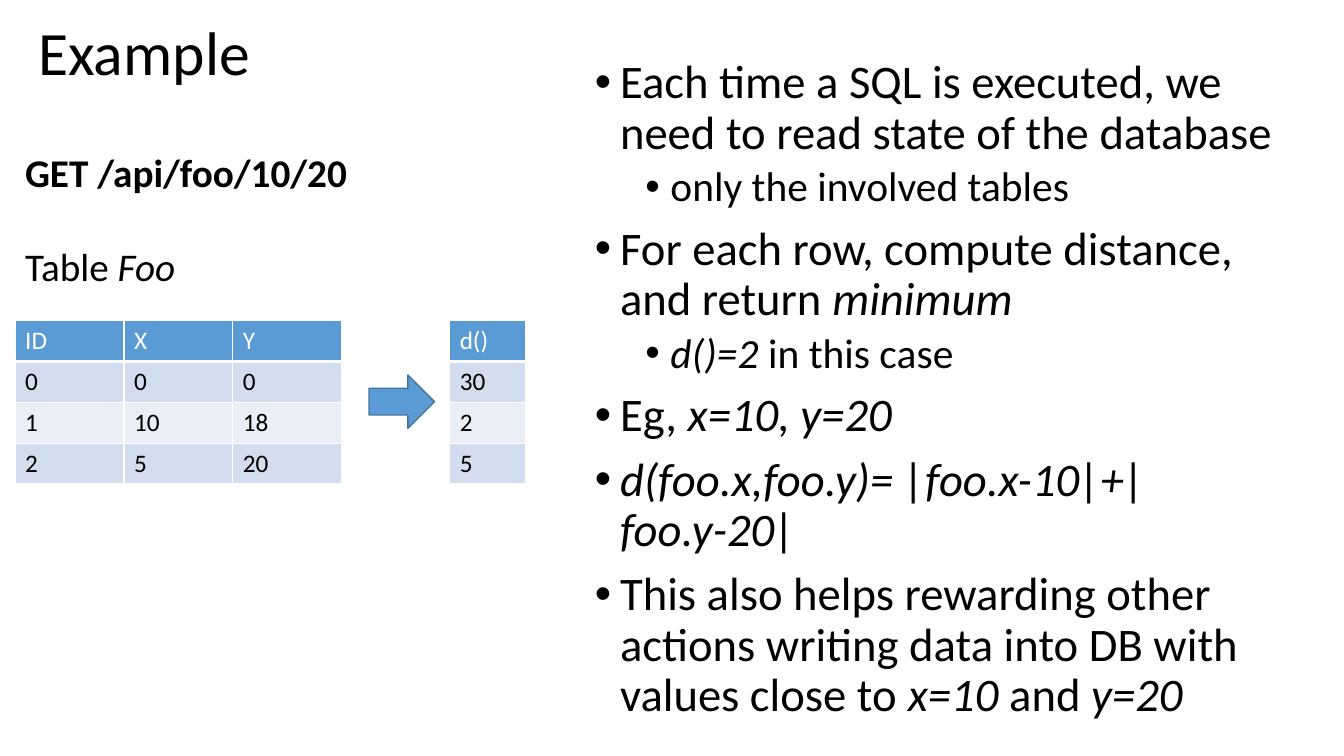
from lxml import etree
from pptx import Presentation
from pptx.dml.color import RGBColor
from pptx.enum.shapes import MSO_SHAPE
from pptx.enum.text import MSO_ANCHOR, MSO_AUTO_SIZE, PP_ALIGN
from pptx.oxml.ns import qn
from pptx.util import Inches, Pt

LEFT = PP_ALIGN.LEFT
TOP, MIDDLE = MSO_ANCHOR.TOP, MSO_ANCHOR.MIDDLE
NO_AUTOFIT, GROW = MSO_AUTO_SIZE.NONE, MSO_AUTO_SIZE.SHAPE_TO_FIT_TEXT
RIGHT_ARROW = MSO_SHAPE.RIGHT_ARROW

FONT = "Calibri"
BLACK, WHITE = "000000", "FFFFFF"
BLUE, DARK_BLUE = "5B9BD5", "43739E"
BANDS = ("D2DEEF", "EAEFF7")

# Per outline level: text size, space before, left indent
LEVELS = ((33.3, 10, 0.25), (29.6, 5, 0.75))

# Each point: level, then runs of (text, italic)
POINTS = [
    (0, [("Each time a SQL is executed, we need to read state of the database", False)]),
    (1, [("only the involved tables", False)]),
    (0, [("For each row, compute distance, and return ", False), ("minimum", True)]),
    (1, [("d()=2 ", True), ("in this case", False)]),
    (0, [("Eg, ", False), ("x=10, y=20", True)]),
    (0, [("d(foo.x,foo.y)= |foo.x-10|+|foo.y-20|", True)]),
    (0, [("This also helps rewarding other actions writing data into DB with "
          "values close to ", False), ("x=10 ", True), ("and ", False), ("y=20", True)]),
]
FOO_ROWS = [("ID", "X", "Y"), (0, 0, 0), (1, 10, 18), (2, 5, 20)]
DISTANCE_ROWS = [("d()",), (30,), (2,), (5,)]


def color(hex_code):
    return RGBColor.from_string(hex_code)


def apply(target, formats):
    for attribute, value in formats.items():
        setattr(target, attribute, value)


def place(part, box):
    names = ("left", "top", "width", "height")
    apply(part, dict(zip(names, map(Inches, box))))


def add_run(paragraph, text, size, hex_code=BLACK, bold=False, italic=False):
    run = paragraph.add_run()
    run.text = text
    apply(run.font, {"name": FONT, "size": Pt(size), "bold": bold, "italic": italic})
    run.font.color.rgb = color(hex_code)


def add_bullet(paragraph, indent):
    properties = paragraph._p.get_or_add_pPr()
    properties.set("marL", str(Inches(indent)))
    properties.set("indent", str(Inches(-0.25)))
    etree.SubElement(properties, qn("a:buFont")).set("typeface", "Arial")
    etree.SubElement(properties, qn("a:buChar")).set("char", "•")


def add_border(cell, side, width):
    line = etree.SubElement(cell._tc.get_or_add_tcPr(), qn(f"a:ln{side}"), w=str(Pt(width)))
    fill = etree.SubElement(line, qn("a:solidFill"))
    etree.SubElement(fill, qn("a:srgbClr"), val=WHITE)


def fill_title(title, box):
    place(title, box)
    apply(title.text_frame, {"vertical_anchor": MIDDLE, "auto_size": NO_AUTOFIT,
                             "word_wrap": True})
    heading = title.text_frame.paragraphs[0]
    apply(heading, {"alignment": LEFT, "line_spacing": 0.9})
    add_run(heading, "Example", 44)


def fill_points(body, box):
    place(body, box)
    frame = body.text_frame
    apply(frame, {"vertical_anchor": TOP, "auto_size": NO_AUTOFIT, "word_wrap": True})
    for index, (level, runs) in enumerate(POINTS):
        point = frame.add_paragraph() if index else frame.paragraphs[0]
        size, before, indent = LEVELS[level]
        apply(point, {"level": level, "alignment": LEFT, "line_spacing": 0.9,
                      "space_before": Pt(before if index else 0)})
        add_bullet(point, indent)
        for text, italic in runs:
            add_run(point, text, size, italic=italic)


def add_request(slide, box):
    frame = slide.shapes.add_textbox(*map(Inches, box)).text_frame
    apply(frame, {"word_wrap": False, "auto_size": GROW})
    add_run(frame.paragraphs[0], "GET /api/foo/10/20", 28, bold=True)
    caption = frame.add_paragraph()
    caption.space_before = Pt(34)
    add_run(caption, "Table ", 28)
    add_run(caption, "Foo", 28, italic=True)


def add_data_table(slide, box, rows):
    table = slide.shapes.add_table(len(rows), len(rows[0]), *map(Inches, box)).table
    for row_index, row in enumerate(rows):
        header = row_index == 0
        background = BLUE if header else BANDS[(row_index - 1) % 2]
        for column_index, value in enumerate(row):
            cell = table.cell(row_index, column_index)
            for side in "LRTB":
                add_border(cell, side, 3 if header and side == "B" else 1)
            cell.fill.solid()
            cell.fill.fore_color.rgb = color(background)
            add_run(cell.text_frame.paragraphs[0], str(value), 18,
                    WHITE if header else BLACK)


def add_arrow(slide, box):
    arrow = slide.shapes.add_shape(RIGHT_ARROW, *map(Inches, box))
    arrow.shadow.inherit = False
    arrow.fill.solid()
    arrow.fill.fore_color.rgb = color(BLUE)
    arrow.line.color.rgb = color(DARK_BLUE)
    arrow.line.width = Pt(1)


def build_example_slide(deck):
    slide = deck.slides.add_slide(deck.slide_layouts[1])
    # Title and explanation
    fill_title(slide.shapes.title, (0.28, 0.09, 11.5, 0.92))
    fill_points(slide.placeholders[1], (5.8, 0.53, 7.3, 6.75))
    # Table Foo and the distance of each row
    add_data_table(slide, (0.15, 3.18, 3.24, 1.62), FOO_ROWS)
    add_data_table(slide, (4.46, 3.18, 0.75, 1.62), DISTANCE_ROWS)
    # Request and arrow between the tables
    add_request(slide, (0.15, 1.42, 3.43, 1.51))
    add_arrow(slide, (3.66, 3.72, 0.65, 0.53))


def main():
    deck = Presentation()
    apply(deck, {"slide_width": Inches(13.33), "slide_height": Inches(7.5)})
    build_example_slide(deck)
    deck.save("out.pptx")


if __name__ == "__main__":
    main()
